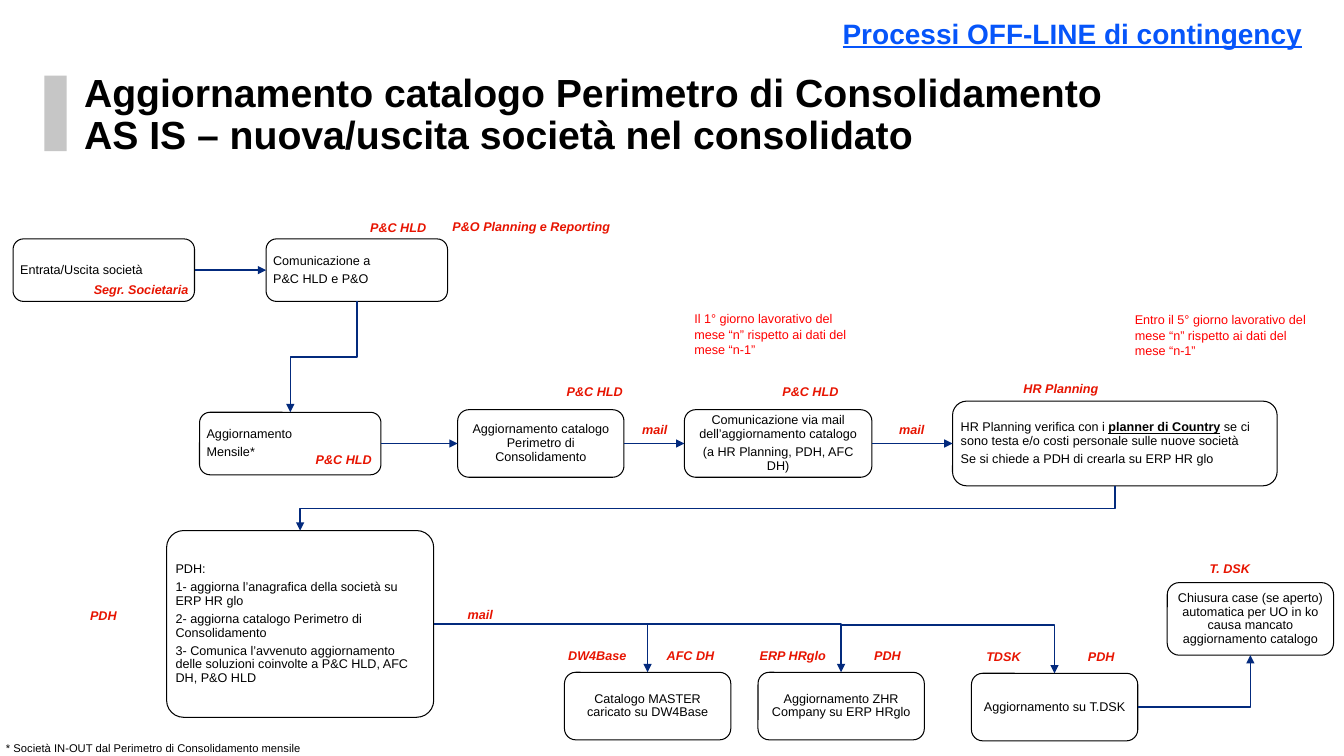
from dataclasses import dataclass
from lxml import etree
from pptx import Presentation
from pptx.dml.color import RGBColor
from pptx.enum.shapes import MSO_CONNECTOR, MSO_SHAPE
from pptx.enum.text import MSO_ANCHOR, MSO_AUTO_SIZE, PP_ALIGN
from pptx.oxml.ns import qn
from pptx.util import Pt

LEFT, MID = PP_ALIGN.LEFT, PP_ALIGN.CENTER
TOP, CENTER = MSO_ANCHOR.TOP, MSO_ANCHOR.MIDDLE
NONE, GROW = MSO_AUTO_SIZE.NONE, MSO_AUTO_SIZE.SHAPE_TO_FIT_TEXT
ROUND, RECT = MSO_SHAPE.ROUNDED_RECTANGLE, MSO_SHAPE.RECTANGLE
LINE, ELBOW = MSO_CONNECTOR.STRAIGHT, MSO_CONNECTOR.ELBOW
NORTH, WEST, SOUTH, EAST = range(4)
BLACK, RED, NOTE, NAVY, BLUE, GREY = (
    "000000", "E71401", "FF0000", "032A7D", "0655FA", "C6C6C6")


@dataclass
class Box:
    key: str
    x: float
    y: float
    w: float
    h: float
    text: str
    align: PP_ALIGN = MID
    curve: float = 0.1667


@dataclass
class Label:
    x: float
    y: float
    w: float
    text: str


@dataclass
class Flow:
    src: str
    out: int
    dst: str
    into: int
    kind: str = "line"


@dataclass
class Branch:
    x: float
    y: float
    dst: str


BOXES = [
    Box("month", 142.56, 294.48, 129.6, 44.64, "Aggiornamento\nMensile*", LEFT),
    Box("list", 326.88, 292.68, 118.8, 48.24, "Aggiornamento catalogo Perimetro di Consolidamento"),
    Box("mail", 488.88, 292.68, 133.92, 48.24,
        "Comunicazione via mail dell’aggiornamento catalogo\n(a HR Planning, PDH, AFC DH)"),
    Box("check", 680.4, 286.56, 231.84, 60.48,
        "HR Planning verifica con i _planner di Country_ se ci sono testa e/o costi "
        "personale sulle nuove società\nSe si chiede a PDH di crearla su ERP HR glo", LEFT),
    Box("update", 119, 379, 190.8, 133.4,
        "PDH:\n1- aggiorna l’anagrafica della società su ERP HR glo\n"
        "2- aggiorna catalogo Perimetro di Consolidamento\n"
        "3- Comunica l’avvenuto aggiornamento delle soluzioni coinvolte a P&C HLD, AFC DH, P&O HLD",
        LEFT, 0.091),
    Box("entry", 9.36, 170.64, 129.6, 44.64, "Entrata/Uscita società", LEFT),
    Box("notify", 190.08, 170.64, 129.6, 44.64, "Comunicazione a\nP&C HLD e P&O", LEFT),
    Box("master", 403.2, 480.24, 118.8, 48.24, "Catalogo MASTER caricato su DW4Base"),
    Box("firm", 541.44, 480.24, 118.8, 48.24, "Aggiornamento ZHR Company su ERP HRglo"),
    Box("ticket", 693.9, 480.96, 118.8, 48.24, "Aggiornamento su T.DSK"),
    Box("close", 833.76, 416.16, 118.8, 51.84,
        "Chiusura case (se aperto) automatica per UO in ko causa mancato aggiornamento catalogo"),
]
LABELS = [
    Label(218.16, 320.4, 54.72, "P&C HLD"), Label(397.44, 272.16, 54.72, "P&C HLD"),
    Label(551.52, 272.16, 54.72, "P&C HLD"), Label(257.04, 154.8, 54.72, "P&C HLD"),
    Label(56.88, 432, 33.84, "PDH"), Label(617.04, 460.8, 33.84, "PDH"),
    Label(769.68, 461.5, 33.84, "PDH"), Label(451.44, 298.8, 32.4, "mail"),
    Label(635.04, 298.8, 32.4, "mail"), Label(326.88, 431.28, 32.4, "mail"),
    Label(398.16, 460.8, 56.88, "DW4Base"), Label(468.72, 460.8, 48.96, "AFC DH"),
    Label(534.96, 460.8, 62.64, "ERP HRglo"), Label(695.52, 461.5, 42.48, "TDSK"),
    Label(854.64, 398.16, 47.52, "T. DSK"), Label(723.6, 270, 68.4, "HR Planning"),
    Label(59.04, 198.72, 83.52, "Segr. Societaria"),
    Label(315.36, 154.08, 128.16, "P&O Planning e Reporting"),
]
FLOWS = [
    Flow("entry", EAST, "notify", WEST),
    Flow("notify", SOUTH, "month", NORTH, "step"),
    Flow("month", EAST, "list", WEST),
    Flow("list", EAST, "mail", WEST),
    Flow("mail", EAST, "check", WEST),
    Flow("check", SOUTH, "update", NORTH, "step"),
    Flow("update", EAST, "master", NORTH, "turn"),
    Flow("ticket", EAST, "close", SOUTH, "turn"),
]
BRANCHES = [Branch(448, 445.7, "firm"), Branch(600.84, 446.4, "ticket")]


def paint(code: str) -> RGBColor:
    return RGBColor.from_string(code)


def write(frame, text: str, *, size=9, color=BLACK, bold=False, italic=False,
          under=False, align=LEFT, lead=0.9, after=3.15, wrap=True,
          inset=(7.2, 3.6), anchor=TOP, fit=NONE) -> None:
    frame.word_wrap, frame.auto_size = wrap, fit
    frame.vertical_anchor = anchor
    frame.margin_left = frame.margin_right = Pt(inset[0])
    frame.margin_top = frame.margin_bottom = Pt(inset[1])
    for i, line in enumerate(text.split("\n")):
        para = frame.add_paragraph() if i else frame.paragraphs[0]
        para.alignment, para.line_spacing = align, lead
        para.space_before, para.space_after = Pt(0), Pt(after)
        for j, row in enumerate(line.split("|")):
            if j:
                para.add_line_break()
                etree.SubElement(para._p[-1], qn("a:rPr"), sz=str(size * 100))
            for k, part in enumerate(row.split("_")):
                run = para.add_run()
                run.text = part
                font = run.font
                font.name, font.size = "Arial", Pt(size)
                font.color.rgb = paint(color)
                font.bold, font.italic = bold or k % 2 == 1, italic
                font.underline = under or k % 2 == 1


def add_text(slide, x: float, y: float, w: float, h: float, text: str, **form) -> None:
    area = slide.shapes.add_textbox(Pt(x), Pt(y), Pt(w), Pt(h))
    write(area.text_frame, text, fit=GROW, **form)


def add_box(slide, box: Box):
    shape = slide.shapes.add_shape(ROUND, Pt(box.x), Pt(box.y), Pt(box.w), Pt(box.h))
    shape.shadow.inherit = False
    shape.adjustments[0] = box.curve
    shape.fill.background()
    shape.line.color.rgb = paint(BLACK)
    shape.line.width = Pt(0.75)
    write(shape.text_frame, box.text, align=box.align, inset=(2.88, 2.88), anchor=CENTER)
    return shape


def dress(link, kind: str) -> None:
    link.line.color.rgb = paint(NAVY)
    link.line.width = Pt(1)
    props = link._element.spPr
    etree.SubElement(props.find(qn("a:ln")), qn("a:tailEnd"), type="triangle")
    etree.SubElement(props, qn("a:effectLst"))
    if kind == "turn":
        props.find(qn("a:prstGeom")).set("prst", "bentConnector2")
    if kind == "step":
        frame = props.find(qn("a:xfrm"))
        frame.attrib.pop("flipH", None)
        frame.set("rot", "5400000")
        wide, tall = link.width, link.height
        link.left += (wide - tall) // 2
        link.top += (tall - wide) // 2
        link.width, link.height = tall, wide


def add_flow(slide, flow: Flow, shapes: dict) -> None:
    kind = LINE if flow.kind == "line" else ELBOW
    link = slide.shapes.add_connector(kind, 0, 0, 0, 0)
    link.begin_connect(shapes[flow.src], flow.out)
    link.end_connect(shapes[flow.dst], flow.into)
    dress(link, flow.kind)


def add_branch(slide, arm: Branch, shapes: dict) -> None:
    link = slide.shapes.add_connector(ELBOW, Pt(arm.x), Pt(arm.y), Pt(arm.x), Pt(arm.y))
    link.end_connect(shapes[arm.dst], NORTH)
    dress(link, "turn")


def main() -> None:
    deck = Presentation()
    deck.slide_width, deck.slide_height = Pt(960), Pt(540)
    slide = deck.slides.add_slide(deck.slide_layouts[5])
    bar = slide.shapes.add_shape(RECT, Pt(31.68), Pt(54), Pt(15.84), Pt(54))
    bar.shadow.inherit = False
    bar.fill.solid()
    bar.fill.fore_color.rgb = paint(GREY)
    bar.line.fill.background()
    title = slide.shapes.title
    title.left, title.top, title.width, title.height = Pt(60), Pt(52.56), Pt(756), Pt(30.96)
    write(title.text_frame, "Aggiornamento catalogo Perimetro di Consolidamento|"
          "AS IS – nuova/uscita società nel consolidato",
          size=28, bold=True, inset=(0, 0), after=0)
    shapes = {box.key: add_box(slide, box) for box in BOXES}
    for flow in FLOWS:
        add_flow(slide, flow, shapes)
    for arm in BRANCHES:
        add_branch(slide, arm, shapes)
    for tag in LABELS:
        add_text(slide, tag.x, tag.y, tag.w, 17.28, tag.text, color=RED,
                 bold=True, italic=True, align=MID, wrap=False)
    add_text(slide, 593.28, 7.92, 345.6, 31.68, "Processi OFF-LINE di contingency",
             size=20, color=BLUE, bold=True, under=True, align=MID, lead=1, after=0, wrap=False)
    add_text(slide, 488.88, 218.88, 133.92, 40.32,
             "Il 1° giorno lavorativo del mese “n” rispetto ai dati del mese “n-1”",
             color=NOTE, lead=1, after=0)
    add_text(slide, 803.52, 219.6, 141.12, 40.32,
             "Entro il 5° giorno lavorativo del mese “n” rispetto ai dati del mese “n-1”",
             color=NOTE, lead=1, after=0)
    add_text(slide, 4.32, 529.2, 412.56, 9.36,
             "* Società IN-OUT dal Perimetro di Consolidamento mensile",
             size=8, inset=(0, 0), lead=1, after=0)
    deck.save("out.pptx")


if __name__ == "__main__":
    main()
